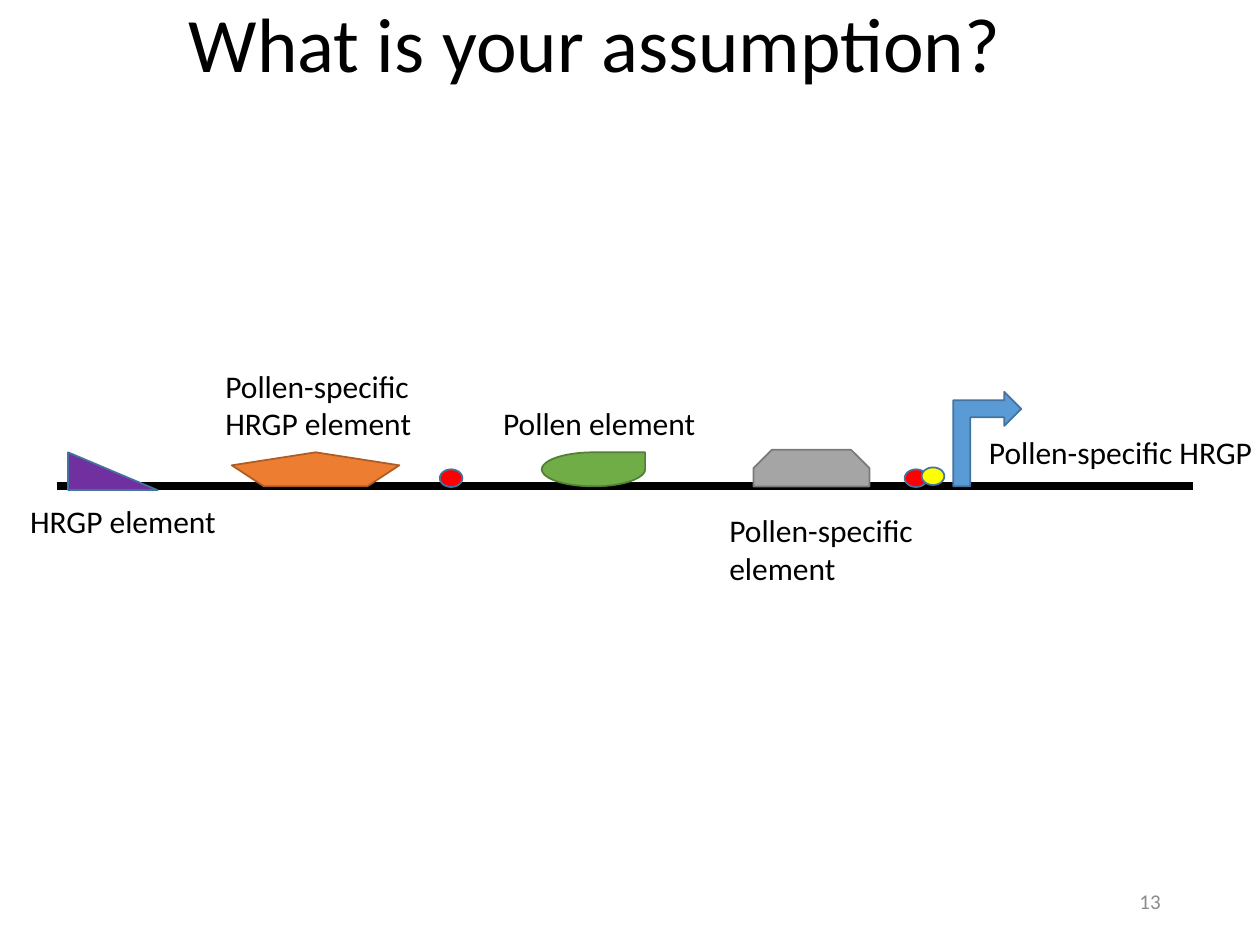
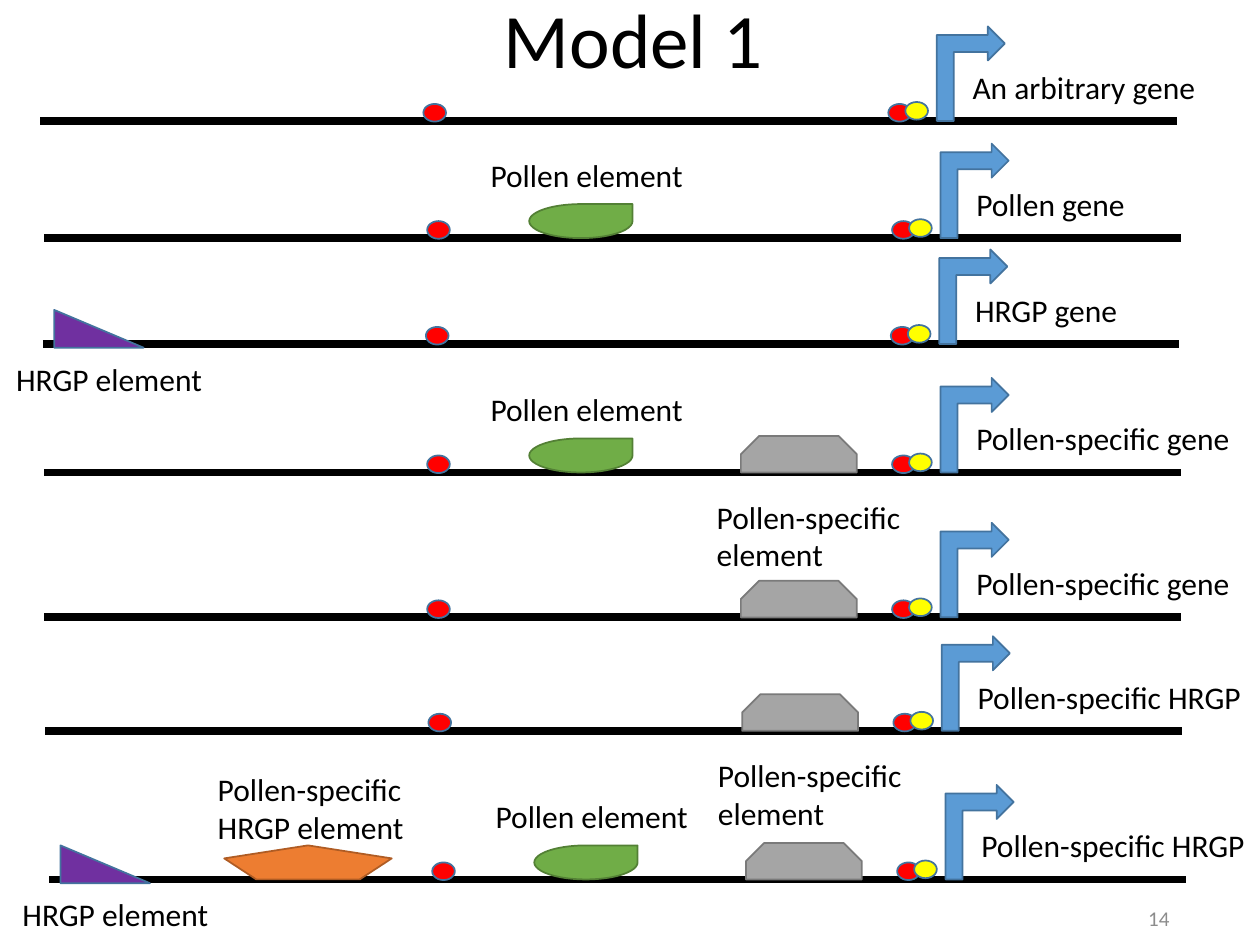
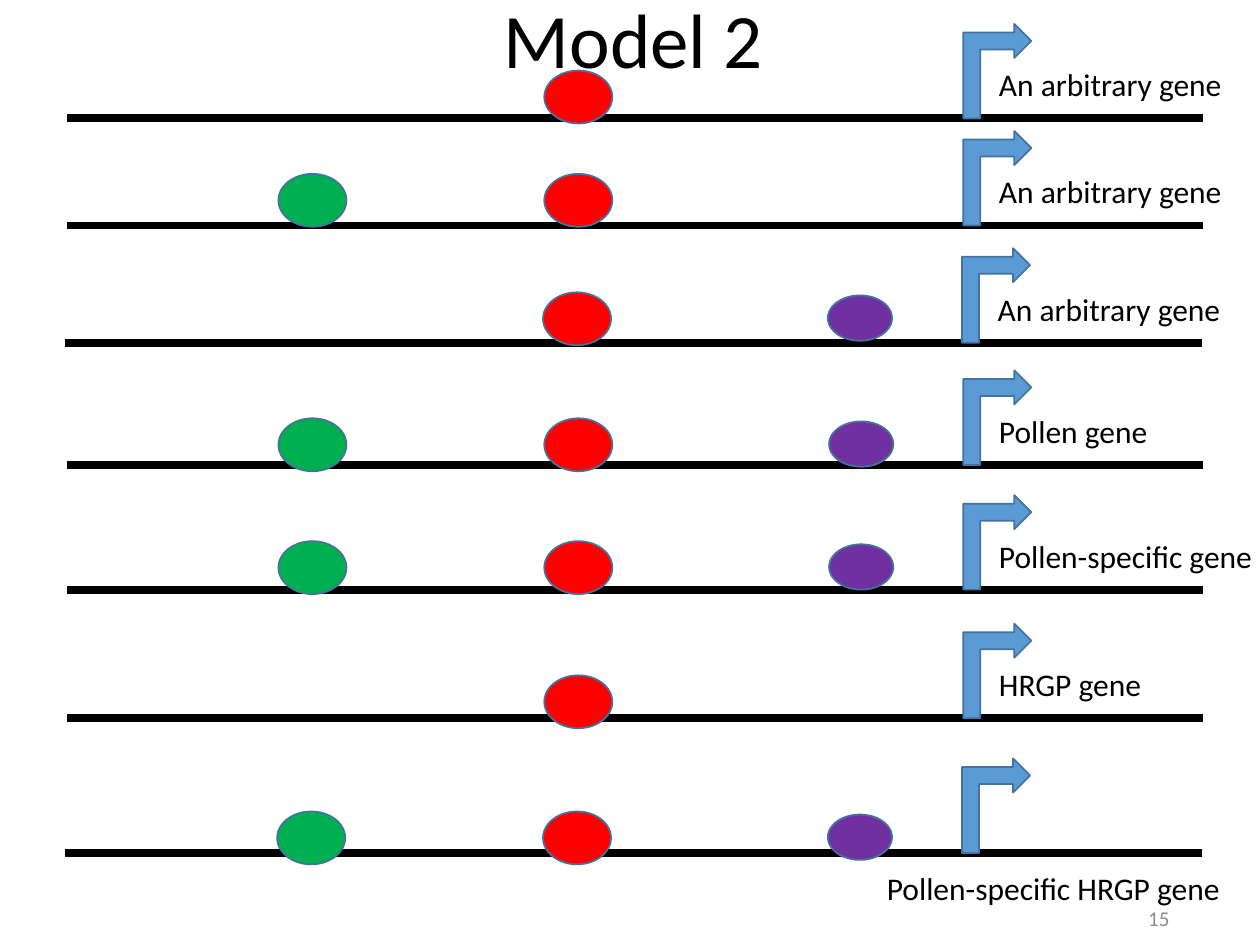
from dataclasses import dataclass
from pptx import Presentation
from pptx.dml.color import RGBColor
from pptx.enum import shapes, text
from pptx.oxml.ns import qn
from pptx.slide import Slide
from pptx.util import Inches, Pt
from lxml import etree

WIDTH, HEIGHT = Inches(10), Inches(7.5)
COLUMN, ROW = WIDTH / 100, HEIGHT / 75
PRESET = shapes.MSO_SHAPE


@dataclass(frozen=True)
class Theme:
    font: str = "Calibri"
    title_size: int = 44
    label_size: int = 18
    number_size: int = 12
    ink: str = "000000"
    muted: str = "8C8C8C"
    outline: str = "43739E"
    blue: str = "5B9BD5"
    orange: str = "ED7D31"
    orange_edge: str = "AF5C24"
    leaf: str = "70AD47"
    leaf_edge: str = "538035"
    gray: str = "A5A5A5"
    gray_edge: str = "7A7A7A"
    purple: str = "7030A0"
    red: str = "FF0000"
    yellow: str = "FFFF00"
    green: str = "00B050"
    strand_width: float = 4.5
    outline_width: float = 1


THEME = Theme()


@dataclass(frozen=True)
class Box:
    left: float
    top: float
    width: float
    height: float

    def shifted(self, columns: float, rows: float) -> "Box":
        return Box(self.left + columns, self.top + rows, self.width, self.height)

    def lengths(self) -> tuple[int, ...]:
        return (round(self.left * COLUMN), round(self.top * ROW),
                round(self.width * COLUMN), round(self.height * ROW))


@dataclass(frozen=True)
class Motif:
    preset: PRESET
    box: Box
    fill: str
    edge: str = THEME.outline
    adjustments: tuple[float, ...] = ()
    turned: bool = False


@dataclass(frozen=True)
class Caption:
    words: str
    box: Box


@dataclass(frozen=True)
class Style:
    size: int
    color: str = THEME.ink
    align: text.PP_ALIGN | None = None
    anchor: text.MSO_ANCHOR = text.MSO_ANCHOR.TOP
    spacing: float | None = None
    wrap: bool = True
    grow: bool = False


TITLE = Style(THEME.title_size, spacing=0.9)
LABEL = Style(THEME.label_size, grow=True)
GENE_LABEL = Style(THEME.label_size, grow=True, wrap=False)
NUMBER = Style(THEME.number_size, THEME.muted, text.PP_ALIGN.RIGHT, text.MSO_ANCHOR.MIDDLE)

STRAND_LENGTH = 90.2
GENE_OFFSET = (73, -4.7)
GENE_WIDTHS = {
    "An arbitrary gene": 19.9,
    "Pollen gene": 14,
    "HRGP gene": 13.4,
    "Pollen-specific gene": 22.4,
    "Pollen-specific HRGP": 23.2,
    "Pollen-specific HRGP gene": 28.8,
}

PROMOTER = Motif(PRESET.BENT_UP_ARROW, Box(70.1, -6.45, 7.5, 5.4), THEME.blue, turned=True)
HRGP = Motif(PRESET.RIGHT_TRIANGLE, Box(0.9, -2.7, 7.1, 3), THEME.purple)
POLLEN_HRGP = Motif(PRESET.REGULAR_PENTAGON, Box(13.9, -2.7, 13.3, 2.7),
                    THEME.orange, THEME.orange_edge)
POLLEN = Motif(PRESET.TEAR, Box(38.5, -2.7, 8.2, 2.7), THEME.leaf, THEME.leaf_edge)
SPECIFIC = Motif(PRESET.SNIP_2_SAME_RECTANGLE, Box(55.3, -2.9, 9.2, 2.9),
                 THEME.gray, THEME.gray_edge, (0.5, 0))
SITES = tuple(
    Motif(PRESET.OVAL, Box(left, top, 1.8, 1.4), fill)
    for left, top, fill in ((30.4, -1.35, THEME.red), (67.3, -1.35, THEME.red),
                            (68.65, -1.5, THEME.yellow))
)
GREEN_BEAD = Motif(PRESET.OVAL, Box(16.8, 0, 5.4, 4.2), THEME.green)
RED_BEAD = Motif(PRESET.OVAL, Box(37.9, 0, 5.4, 4.2), THEME.red)
PURPLE_BEAD = Motif(PRESET.OVAL, Box(60.5, 0.25, 5.1, 3.6), THEME.purple)
ALL_BEADS = (GREEN_BEAD, RED_BEAD, PURPLE_BEAD)

HRGP_NOTE = Caption("HRGP element", Box(-3.1, 0.75, 17, 4))
POLLEN_HRGP_NOTE = Caption("Pollen-specific HRGP element", Box(12.4, -9.2, 18, 7.1))
HIGH_POLLEN_HRGP_NOTE = Caption(POLLEN_HRGP_NOTE.words, Box(12.4, -10, 18, 7.1))
POLLEN_NOTE = Caption("Pollen element", Box(34.45, -7, 18, 4))
SPECIFIC_NOTE = Caption("Pollen-specific element", Box(52.4, 1.5, 18, 7.1))
ALL_ELEMENTS = (POLLEN_HRGP, POLLEN, SPECIFIC, HRGP)


@dataclass(frozen=True)
class Strand:
    left: float
    baseline: float
    gene: str
    motifs: tuple[Motif, ...] = ()
    captions: tuple[Caption, ...] = ()
    gene_offset: tuple[float, float] = GENE_OFFSET


@dataclass(frozen=True)
class Page:
    title: str
    title_box: Box
    number: str
    number_box: Box
    strands: tuple[Strand, ...]


def site_strand(left: float, baseline: float, gene: str,
                elements: tuple[Motif, ...] = (), captions: tuple[Caption, ...] = ()) -> Strand:
    return Strand(left, baseline, gene, elements + SITES, captions)


def bead_strand(left: float, baseline: float, gene: str, lift: float,
                beads: tuple[Motif, ...], gene_offset: tuple[float, float] = GENE_OFFSET) -> Strand:
    lifted = tuple(Motif(bead.preset, bead.box.shifted(0, -lift), bead.fill) for bead in beads)
    return Strand(left, baseline, gene, lifted, gene_offset=gene_offset)


MODEL_TITLE_BOX = Box(39, -0.3, 22.7, 8.7)
MODEL_NUMBER_BOX = Box(71.3, 70.9, 22.5, 4)

PAGES = (
    Page("What is your assumption?", Box(14, 0, 74.5, 11.3), "13", Box(70.6, 69.5, 22.5, 4), (
        site_strand(4.5, 38.6, "Pollen-specific HRGP", ALL_ELEMENTS,
                    (HIGH_POLLEN_HRGP_NOTE, POLLEN_NOTE, SPECIFIC_NOTE, HRGP_NOTE)),
    )),
    Page("Model 1", MODEL_TITLE_BOX, "14", MODEL_NUMBER_BOX, (
        site_strand(3.2, 9.6, "An arbitrary gene"),
        site_strand(3.5, 18.9, "Pollen gene", (POLLEN,), (POLLEN_NOTE,)),
        site_strand(3.4, 27.3, "HRGP gene", (HRGP,), (HRGP_NOTE,)),
        site_strand(3.5, 37.5, "Pollen-specific gene", (POLLEN, SPECIFIC),
                    (POLLEN_NOTE, SPECIFIC_NOTE)),
        site_strand(3.5, 49, "Pollen-specific gene", (SPECIFIC,)),
        site_strand(3.6, 58, "Pollen-specific HRGP", (SPECIFIC,), (SPECIFIC_NOTE,)),
        site_strand(3.9, 69.8, "Pollen-specific HRGP", ALL_ELEMENTS,
                    (POLLEN_HRGP_NOTE, POLLEN_NOTE, HRGP_NOTE)),
    )),
    Page("Model 2", MODEL_TITLE_BOX, "15", MODEL_NUMBER_BOX, (
        bead_strand(5.3, 9.4, "An arbitrary gene", 3.8, (RED_BEAD,)),
        bead_strand(5.3, 17.9, "An arbitrary gene", 4.1, (GREEN_BEAD, RED_BEAD)),
        bead_strand(5.2, 27.2, "An arbitrary gene", 4, (RED_BEAD, PURPLE_BEAD)),
        bead_strand(5.3, 36.9, "Pollen gene", 3.7, ALL_BEADS),
        bead_strand(5.3, 46.8, "Pollen-specific gene", 3.85, ALL_BEADS),
        bead_strand(5.3, 57, "HRGP gene", 3.4, (RED_BEAD,)),
        bead_strand(5.2, 67.7, "Pollen-specific HRGP gene", 3.3, ALL_BEADS, (64.2, 0.8)),
    )),
)


def add_words(slide: Slide, words: str, box: Box, style: Style) -> None:
    frame = slide.shapes.add_textbox(*box.lengths()).text_frame
    frame.word_wrap = style.wrap
    frame.vertical_anchor = style.anchor
    if style.grow:
        frame.auto_size = text.MSO_AUTO_SIZE.SHAPE_TO_FIT_TEXT
    paragraph = frame.paragraphs[0]
    paragraph.alignment = style.align
    paragraph.line_spacing = style.spacing
    run = paragraph.add_run()
    run.text = words
    run.font.name = THEME.font
    run.font.size = Pt(style.size)
    run.font.color.rgb = RGBColor.from_string(style.color)


def add_motif(slide: Slide, motif: Motif, left: float, baseline: float) -> None:
    shape = slide.shapes.add_shape(motif.preset, *motif.box.shifted(left, baseline).lengths())
    shape.shadow.inherit = False
    shape.fill.solid()
    shape.fill.fore_color.rgb = RGBColor.from_string(motif.fill)
    shape.line.color.rgb = RGBColor.from_string(motif.edge)
    shape.line.width = Pt(THEME.outline_width)
    for index, value in enumerate(motif.adjustments):
        shape.adjustments[index] = value
    if motif.turned:
        shape.rotation = 270
        shape._element.spPr.find(qn("a:xfrm")).set("flipV", "1")


def add_strand(slide: Slide, strand: Strand) -> None:
    left, baseline = strand.left, strand.baseline
    start, y, length, _ = Box(left, baseline, STRAND_LENGTH, 0).lengths()
    line = slide.shapes.add_connector(shapes.MSO_CONNECTOR.STRAIGHT, start, y, start + length, y)
    line.line.color.rgb = RGBColor.from_string(THEME.ink)
    line.line.width = Pt(THEME.strand_width)
    etree.SubElement(line._element.spPr, qn("a:effectLst"))
    for motif in (PROMOTER, *strand.motifs):
        add_motif(slide, motif, left, baseline)
    for caption in strand.captions:
        add_words(slide, caption.words, caption.box.shifted(left, baseline), LABEL)
    gene_box = Box(*strand.gene_offset, GENE_WIDTHS[strand.gene], 4)
    add_words(slide, strand.gene, gene_box.shifted(left, baseline), GENE_LABEL)


def main() -> None:
    presentation = Presentation()
    presentation.slide_width, presentation.slide_height = WIDTH, HEIGHT
    for page in PAGES:
        slide = presentation.slides.add_slide(presentation.slide_layouts[6])
        add_words(slide, page.title, page.title_box, TITLE)
        for strand in page.strands:
            add_strand(slide, strand)
        add_words(slide, page.number, page.number_box, NUMBER)
    presentation.save("out.pptx")


if __name__ == "__main__":
    main()
